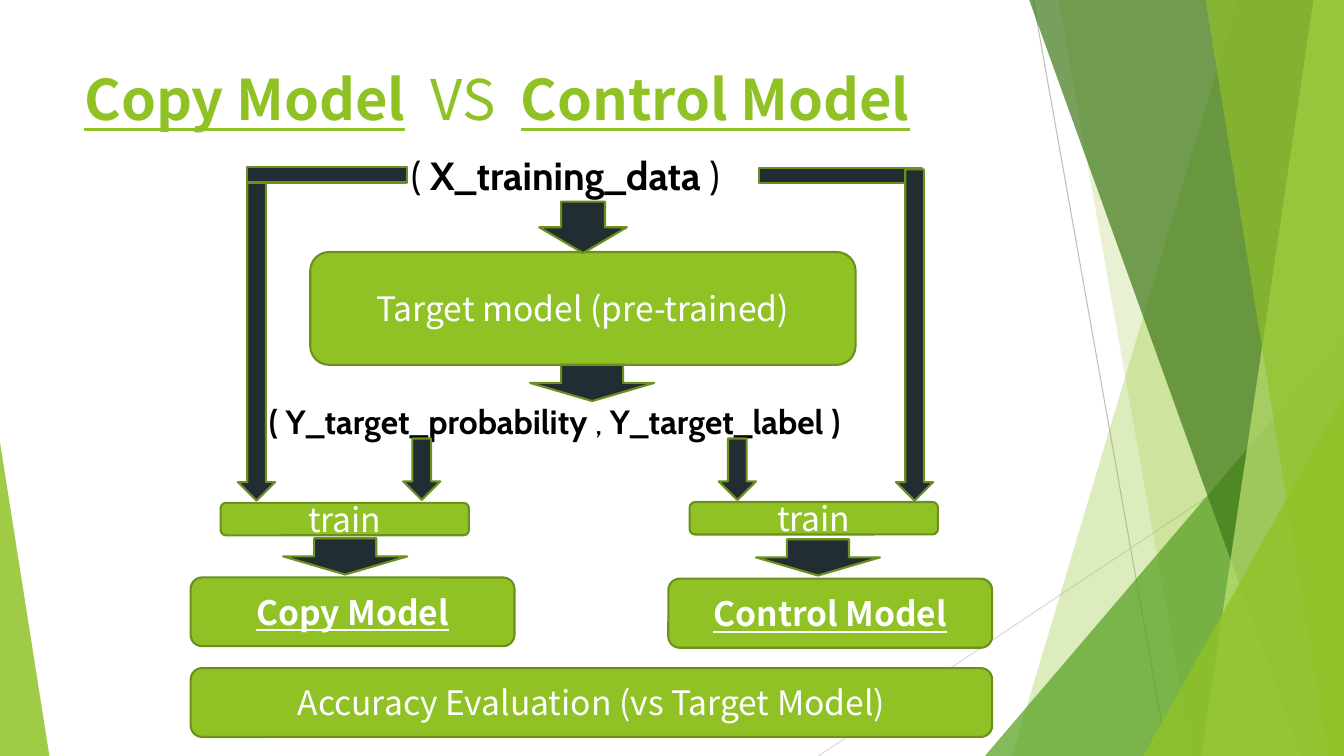
from lxml.etree import SubElement
from pptx import Presentation
from pptx.dml.color import RGBColor
from pptx.enum.shapes import MSO_CONNECTOR, MSO_SHAPE
from pptx.enum.text import MSO_ANCHOR, PP_ALIGN
from pptx.oxml.ns import qn
from pptx.util import Pt

GREEN, EDGE, DARK, WHITE, BLACK = "90C226", "6B901C", "212D32", "FFFFFF", "000000"
SANS, CABIN = "Noto Sans CJK TC", "Cabin"
W, H = 960, 540


def paint(sp, color, alpha=None, edge=None):
    """Fill a shape flat, with an opacity in percent and an outline colour if given."""
    sp.shadow.inherit = False
    sp.fill.solid()
    sp.fill.fore_color.rgb = RGBColor.from_string(color)
    if alpha:
        clr = sp._element.spPr.find(qn("a:solidFill"))[0]
        SubElement(clr, qn("a:alpha")).set("val", str(alpha * 1000))
    if edge:
        sp.line.color.rgb = RGBColor.from_string(edge)
        sp.line.width = Pt(1.5)
    else:
        sp.line.fill.background()


def write(p, runs, font, size, color):
    """Add runs of (text, bold, underline) to a paragraph."""
    for text, bold, underline in runs:
        r = p.add_run()
        r.text = text
        r.font.name, r.font.size = font, Pt(size)
        r.font.bold, r.font.underline = bold, underline
        r.font.color.rgb = RGBColor.from_string(color)


prs = Presentation()
prs.slide_width, prs.slide_height = Pt(W), Pt(H)
s = prs.slides.add_slide(prs.slide_layouts[6])

# Backdrop: two thin lines, then translucent bands and triangles
for x1, y1, x2, y2, color in [(738, 0, 834, H, "BFBFBF"), (W, 290, 584.6, H, "D9D9D9")]:
    line = s.shapes.add_connector(MSO_CONNECTOR.STRAIGHT, Pt(x1), Pt(y1), Pt(x2), Pt(y2))
    line.line.color.rgb = RGBColor.from_string(color)
    line.line.width = Pt(0.75)
    SubElement(line._element.spPr, qn("a:effectLst"))

# Each band runs from its top-left and bottom-left x to the right edge
backdrop = [
    ("band", 884.2, 722.9, GREEN, 30),
    ("band", 756, 851.8, GREEN, 20),
    ("triangle", 703.5, 239.8, 256.5, 1, "54A021", 72),
    ("band", 735.2, 929.5, "3F7819", 70),
    ("band", 938.2, 858.2, "C0E474", 70),
    ("band", 861.1, 949, GREEN, 65),
    ("triangle", 816.5, 283, 143.5, 1, GREEN, 80),
    ("triangle", 0, 316, 35.3, 0, GREEN, 85),
]
for kind, *dims, color, alpha in backdrop:
    if kind == "band":
        top_x, bottom_x = dims
        outline = s.shapes.build_freeform(Pt(top_x), 0)
        outline.add_line_segments([(Pt(x), Pt(y)) for x, y in [(W, 0), (W, H), (bottom_x, H)]])
        sp = outline.convert_to_shape()
    else:
        x, y, w, apex = dims
        sp = s.shapes.add_shape(MSO_SHAPE.ISOSCELES_TRIANGLE, Pt(x), Pt(y), Pt(w), Pt(H - y))
        sp.adjustments[0] = apex
    paint(sp, color, alpha)

# Title and the two data captions
captions = [
    (53.3, 48.2, 676.8, 103.7, SANS, 40, GREEN, 0.9,
     [("Copy Model", True, True), ("  VS  ", False, False), ("Control Model", True, True)]),
    (286.6, 104.4, 262, 41, CABIN, 28, BLACK, 1.0,
     [("( ", False, False), ("X_training_data ", True, False), (")", False, False)]),
    (185, 283, 463.7, 36, CABIN, 24, BLACK, 1.0,
     [("( Y_target_probability", True, False), (" , ", False, False),
      ("Y_target_label )", True, False)]),
]
for x, y, w, h, font, size, color, spacing, runs in captions:
    tf = s.shapes.add_textbox(Pt(x), Pt(y), Pt(w), Pt(h)).text_frame
    tf.word_wrap = True
    tf.paragraphs[0].line_spacing = spacing
    write(tf.paragraphs[0], runs, font, size, color)

# Green boxes
boxes = [
    ("Target model (pre-trained)", 221.6, 180, 389.5, 80.6, False),
    ("train", 157.6, 359.2, 177.4, 23.2, False),
    ("train", 492.6, 358.6, 177.4, 23.2, False),
    ("Copy Model", 136.2, 412.5, 231.3, 49.1, True),
    ("Control Model", 477.4, 413.3, 231.3, 49.4, True),
    ("Accuracy Evaluation (vs Target Model)", 136.2, 477.2, 572.5, 49.2, False),
]
for text, x, y, w, h, strong in boxes:
    sp = s.shapes.add_shape(MSO_SHAPE.ROUNDED_RECTANGLE, Pt(x), Pt(y), Pt(w), Pt(h))
    paint(sp, GREEN, edge=EDGE)
    tf = sp.text_frame
    tf.word_wrap = True
    tf.vertical_anchor = MSO_ANCHOR.MIDDLE
    tf.paragraphs[0].alignment = PP_ALIGN.CENTER
    write(tf.paragraphs[0], [(text, strong, strong)], SANS, 24, WHITE)

# Dark arrows, and the bars that join the training data to the long ones
ARROW, BAR = MSO_SHAPE.DOWN_ARROW, MSO_SHAPE.RECTANGLE
flow = [
    (ARROW, 385.2, 144, 62.6, 36.7),
    (ARROW, 378.7, 260.6, 88.6, 25.9),
    (ARROW, 170, 121, 26.6, 236.6),
    (ARROW, 513.4, 313.2, 26.6, 43.9),
    (BAR, 542.2, 120, 116.6, 10.8),
    (BAR, 176.6, 119.6, 114, 10.8),
    (ARROW, 640, 121, 26.6, 236.6),
    (ARROW, 288, 313.2, 26.6, 43.9),
    (ARROW, 202.3, 384.5, 88.6, 25.9),
    (ARROW, 540, 385.2, 88.6, 25.9),
]
for shape, x, y, w, h in flow:
    paint(s.shapes.add_shape(shape, Pt(x), Pt(y), Pt(w), Pt(h)), DARK, edge=EDGE)

prs.save("out.pptx")
